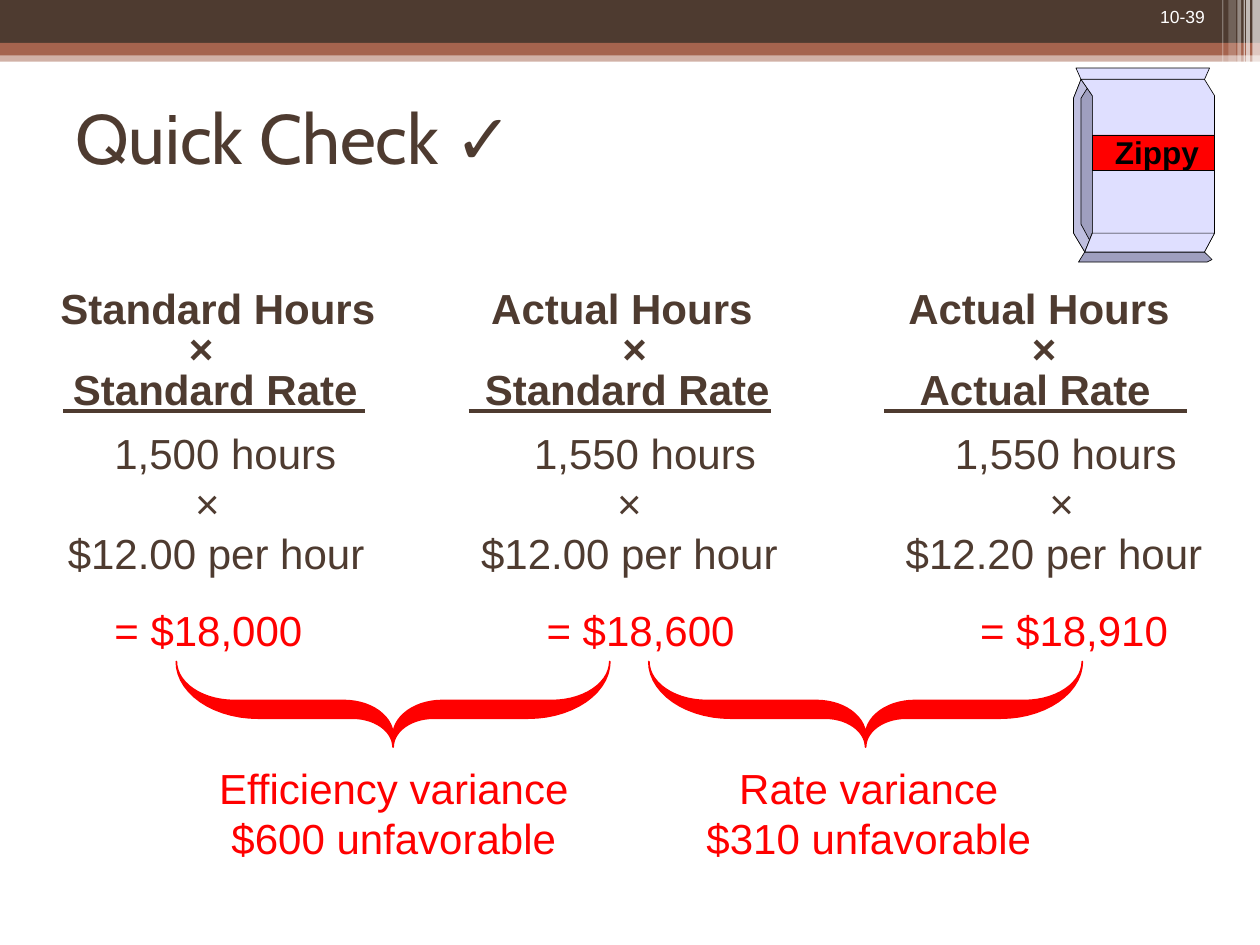
"""Build the labour variance quick-check slide."""
from dataclasses import dataclass
from math import cos, pi, sin

from lxml import etree
from pptx import Presentation
from pptx.dml.color import RGBColor
from pptx.enum.shapes import MSO_CONNECTOR, MSO_SHAPE
from pptx.enum.text import MSO_ANCHOR, PP_ALIGN
from pptx.oxml.ns import qn
from pptx.util import Inches, Pt

RECTANGLE = MSO_SHAPE.RECTANGLE
STRAIGHT = MSO_CONNECTOR.STRAIGHT
LEFT, CENTER, RIGHT = PP_ALIGN.LEFT, PP_ALIGN.CENTER, PP_ALIGN.RIGHT
TOP, MIDDLE = MSO_ANCHOR.TOP, MSO_ANCHOR.MIDDLE


@dataclass(frozen=True)
class Theme:
    """Colours, fonts and type sizes."""
    brown: str = "4E3B30"
    rust: str = "A5644E"
    red: str = "FF0000"
    white: str = "FFFFFF"
    black: str = "000000"
    pale: str = "DFDFFF"
    mid: str = "BFBFDF"
    dark: str = "9F9FBF"
    body_font: str = "Arial"
    title_font: str = "Cabin"
    title_size: int = 40
    body_size: int = 24
    label_size: int = 18
    small_size: int = 10


def assign(target, values):
    """Set each named attribute of target."""
    for name, value in values.items():
        setattr(target, name, value)


def arc(center, radii, start, end, steps=14):
    """Return points along an elliptical arc, with angles in quarter turns."""
    angles = [(start + (end - start) * step / steps) * pi / 2 for step in range(steps + 1)]
    return [(center[0] + radii[0] * cos(a), center[1] + radii[1] * sin(a)) for a in angles]


class SlideBuilder:
    """Draw on one slide, on a grid of 100 columns by 75 rows."""

    def __init__(self, deck, theme):
        """Add a blank slide and take its grid from the slide size."""
        self.theme = theme
        self.column = deck.slide_width / 100
        self.row = deck.slide_height / 75
        self.slide = deck.slides.add_slide(deck.slide_layouts[6])
        self.shapes = self.slide.shapes

    def point(self, x, y):
        """Turn a grid position into slide units."""
        return round(x * self.column), round(y * self.row)

    def frame(self, left, top, width, height):
        """Turn a grid rectangle into slide units."""
        return *self.point(left, top), *self.point(width, height)

    def paint(self, shape, fill, line=None, weight=0.37, alpha=100):
        """Give a shape its fill, opacity and outline."""
        shape.shadow.inherit = False
        shape.fill.solid()
        shape.fill.fore_color.rgb = RGBColor.from_string(fill)
        if alpha < 100:
            color = shape.fill._xPr.find(qn("a:solidFill"))[0]
            etree.SubElement(color, qn("a:alpha"), val=str(alpha * 1000))
        if line:
            shape.line.color.rgb = RGBColor.from_string(line)
            shape.line.width = Pt(weight)
        else:
            shape.line.fill.background()

    def rectangle(self, place, fill, **style):
        """Draw a filled rectangle."""
        self.paint(self.shapes.add_shape(RECTANGLE, *self.frame(*place)), fill, **style)

    def outline(self, points, fill, **style):
        """Draw a closed outline through grid points."""
        first, *rest = [self.point(*spot) for spot in points]
        builder = self.shapes.build_freeform(*first, scale=1.0)
        builder.add_line_segments(rest, close=True)
        self.paint(builder.convert_to_shape(), fill, **style)

    def rule(self, left, top, width):
        """Draw a horizontal rule."""
        line = self.shapes.add_connector(
            STRAIGHT, *self.point(left, top), *self.point(left + width, top))
        line.line.color.rgb = RGBColor.from_string(self.theme.brown)
        line.line.width = Pt(2.25)
        etree.SubElement(line._element.spPr, qn("a:effectLst"))

    def brace(self, center, top):
        """Draw a downward brace, mirrored about its centre."""
        half = (arc((3.2, 6.8), (3.2, 2.3), 2, 3) + arc((10.7, 0), (6.5, 4.5), 1, 0)
                + arc((12.6, 0), (4.6, 3.1), 0, 1) + arc((3.9, 5.9), (3.9, 2.8), 3, 2))
        mirrored = [(-x, y) for x, y in reversed(half)]
        self.outline([(center + x, top + y) for x, y in half + mirrored],
                     self.theme.red, line=self.theme.red, weight=1)

    def text(self, place, lines, size, color, align=LEFT, anchor=TOP, bold=False):
        """Write lines, each a dict of spans and paragraph settings."""
        box = self.shapes.add_textbox(*self.frame(*place)).text_frame
        assign(box, {"word_wrap": True, "vertical_anchor": anchor})
        for index, line in enumerate(lines):
            para = box.add_paragraph() if index else box.paragraphs[0]
            assign(para, {"alignment": align, **line.get("format", {})})
            if "stops" in line:
                tabs = etree.SubElement(para._p.get_or_add_pPr(), qn("a:tabLst"))
                for stop in line["stops"]:
                    etree.SubElement(tabs, qn("a:tab"), algn="l", pos=str(round(stop * self.column)))
            for content, font in line["spans"]:
                span = para.add_run()
                span.text = content
                assign(span.font, {"name": font, "size": Pt(size), "bold": bold})
                span.font.color.rgb = RGBColor.from_string(line.get("color", color))

    def columns(self, place, rows, color, bold=False):
        """Write rows whose cells start at tab stops."""
        lines = [{"spans": [("".join("\t" + cell for cell in cells), self.theme.body_font)],
                  "stops": stops, **extra} for cells, stops, extra in rows]
        self.text(place, lines, self.theme.body_size, color, bold=bold)

    def plain(self, place, contents, size, color, **style):
        """Write lines of body text."""
        lines = [{"spans": [(content, self.theme.body_font)]} for content in contents]
        self.text(place, lines, size, color, **style)


def draw_banner(page, theme):
    """Draw the banner, its fading right edge and the page number."""
    page.rectangle((0, 4, 100, 0.9), theme.rust, alpha=50)
    page.rectangle((0, 0, 100, 3.4), theme.brown)
    page.rectangle((0, 3.4, 100, 1), theme.rust)
    for left, width, height, alpha in [
            (99.4, 0.6, 6.8, 65), (98.9, 0.3, 6.8, 65), (98.7, 0.1, 6.8, 60),
            (98.2, 0.3, 6.8, 40), (97.5, 0.6, 6.4, 20), (97, 0.1, 6.4, 30)]:
        page.rectangle((left, 0, width, height), theme.white, alpha=alpha)
    page.plain((85.8, 0, 10.8, 2.7), ["10-39"], theme.small_size, theme.white, align=RIGHT)


def draw_bag(page, theme):
    """Draw the labelled product bag."""
    for fill, points in [
            (theme.dark, [(85.8, 6.3), (85.2, 7.8), (85.2, 18.5), (86.1, 20), (86.7, 18.5), (86.7, 7.6)]),
            (theme.mid, [(85.8, 6.3), (86.3, 7), (85.8, 7.8), (85.8, 17.8), (86.5, 19.1), (86.1, 20),
                         (85.2, 18.5), (85.2, 7.8)]),
            (theme.pale, [(85.8, 6.3), (85.4, 5.4), (96, 5.4), (95.6, 6.3)]),
            (theme.dark, [(86.1, 20), (95.6, 20), (96.2, 20.6), (95.8, 20.8), (85.6, 20.8)]),
            (theme.pale, [(86.1, 20), (95.6, 20), (96.4, 18.5), (96.4, 7.6), (95.6, 6.3), (85.8, 6.3),
                          (86.7, 7.6), (86.7, 18.5)]),
            (theme.pale, [(86.7, 18.5), (86.1, 20), (95.6, 20), (96.4, 18.5)])]:
        page.outline(points, fill, line=theme.black)
    page.rectangle((86.7, 10.7, 9.7, 2.8), theme.red, line=theme.black)
    page.plain((87.5, 10.1, 10.8, 4), ["Zippy"], theme.label_size, theme.black, bold=True)


def draw_variances(page, theme):
    """Draw the three cost columns and the two variances between them."""
    times = ("×",) * 3
    tight = {"format": {"line_spacing": 0.8}}
    page.columns((2.9, 22.7, 95.8, 10.6), [
        (("Standard Hours", "Actual Hours", "Actual Hours"), (0.9, 35.1, 68.2), tight),
        (times, (11.1, 45.5, 78), tight),
        (("Standard Rate", "Standard Rate", "Actual Rate"), (1.9, 34.6, 69.1), tight),
    ], theme.brown, bold=True)
    for left in (5, 37.2, 70.2):
        page.rule(left, 32.6, 24)
    page.columns((2.5, 33.4, 96, 19.1), [
        (("1,500 hours", "1,550 hours", "1,550 hours"), (5.6, 38.9, 72.3), {}),
        (times, (12, 45.5, 79.8), {}),
        (("$12.00 per hour", "$12.00 per hour", "$12.20 per hour"), (1.9, 34.7, 68.4), {}),
        (("= $18,000", "= $18,600", "= $18,910"), (5.6, 39.9, 74.3),
         {"color": theme.red, "format": {"space_before": Pt(15)}}),
    ], theme.brown)
    for center, left, contents in [
            (31.2, 10, ["Efficiency variance", "$600 unfavorable"]),
            (68.7, 47.7, ["Rate variance", "$310 unfavorable"])]:
        page.brace(center, 52.5)
        page.plain((left, 60, 42.5, 9), contents, theme.body_size, theme.red, align=CENTER)


def main():
    """Build and save the deck."""
    deck = Presentation()
    assign(deck, {"slide_width": Inches(10), "slide_height": Inches(7.5)})
    theme = Theme()
    page = SlideBuilder(deck, theme)
    draw_banner(page, theme)
    draw_bag(page, theme)
    title = [{"spans": [("Quick Check ", theme.title_font), ("✓", theme.body_font)]}]
    page.text((5, 5, 80, 11.7), title, theme.title_size, theme.brown, anchor=MIDDLE)
    draw_variances(page, theme)
    deck.save("out.pptx")


if __name__ == "__main__":
    main()
